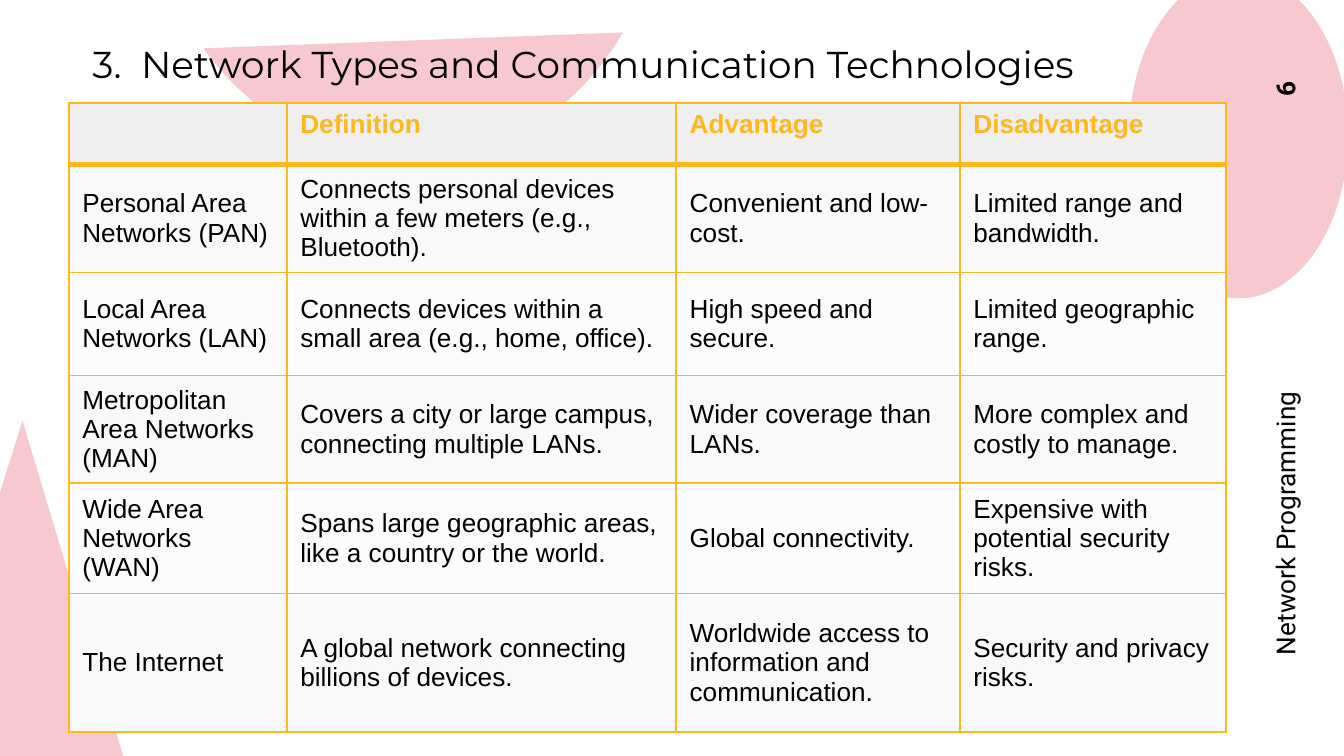
from lxml.etree import SubElement
from pptx import Presentation
from pptx.dml.color import RGBColor as RGB
from pptx.enum.shapes import MSO_SHAPE as SHAPE
from pptx.enum.text import MSO_ANCHOR as ANCHOR, PP_ALIGN as ALIGN
from pptx.oxml.ns import qn
from pptx.util import Pt

HUES = {"pink": "F7C9CF", "gold": "FFB71E", "black": "000000",
        "head": "EFEFEF", "odd": "F9F9F9", "even": "FCFCFC"}


def write(frame, text, font="Arial", size=14, hue="black", bold=False,
          align=ALIGN.LEFT):
    para = frame.paragraphs[0]
    para.alignment = align
    run = para.add_run()
    run.text = text
    run.font.name = font
    run.font.size = Pt(size)
    run.font.bold = bold
    run.font.color.rgb = RGB.from_string(HUES[hue])


def edge(cell, side, width):
    line = SubElement(cell._tc.get_or_add_tcPr(), qn(f"a:ln{side}"), w=str(Pt(width)))
    fill = SubElement(line, qn("a:solidFill"))
    SubElement(fill, qn("a:srgbClr"), val=HUES["gold"])


deck = Presentation()
deck.slide_width, deck.slide_height = Pt(720), Pt(405)
slide = deck.slides.add_slide(deck.slide_layouts[6])

for kind, box, turn, bends in [
    (SHAPE.OVAL, (604.8, -14.4, 117.4, 174.2), 0, []),
    (SHAPE.CHORD, (75.6, -234, 280.1, 320.4), 352.7, [27, 86.56]),
    (SHAPE.ISOSCELES_TRIANGLE, (-49.7, 225.4, 121, 197.3), 0, [0.51]),
]:
    shape = slide.shapes.add_shape(kind, *map(Pt, box))
    shape.rotation = turn
    for i, bend in enumerate(bends):
        shape.adjustments[i] = bend
    shape.shadow.inherit = False
    shape.fill.solid()
    shape.fill.fore_color.rgb = RGB.from_string(HUES["pink"])
    shape.line.fill.background()

for text, box, turn, left, anchor, look in [
    ("3.  Network Types and Communication Technologies", (42.5, 15.1, 614.2, 51.1),
     0, 7.2, ANCHOR.TOP, {"font": "Montserrat", "size": 20}),
    ("Network Programming", (585.4, 249.1, 205.9, 33.8),
     270, 18, ANCHOR.MIDDLE, {"font": "Roboto"}),
    ("6", (666.7, 42.5, 43.2, 31),
     270, 7.2, ANCHOR.MIDDLE, {"font": "Roboto", "bold": True, "align": ALIGN.RIGHT}),
]:
    label = slide.shapes.add_textbox(*map(Pt, box))
    label.rotation = turn
    frame = label.text_frame
    frame.word_wrap = True
    frame.vertical_anchor = anchor
    frame.margin_left = Pt(left)
    frame.margin_top = frame.margin_right = frame.margin_bottom = Pt(7.2)
    write(frame, text, **look)

rows = [
    ("", "Definition", "Advantage", "Disadvantage"),
    ("Personal Area Networks (PAN)",
     "Connects personal devices within a few meters (e.g., Bluetooth).",
     "Convenient and low-cost.", "Limited range and bandwidth."),
    ("Local Area Networks (LAN)",
     "Connects devices within a small area (e.g., home, office).",
     "High speed and secure.", "Limited geographic range."),
    ("Metropolitan Area Networks (MAN)",
     "Covers a city or large campus, connecting multiple LANs.",
     "Wider coverage than LANs.", "More complex and costly to manage."),
    ("Wide Area Networks (WAN)",
     "Spans large geographic areas, like a country or the world.",
     "Global connectivity.", "Expensive with potential security risks."),
    ("The Internet", "A global network connecting billions of devices.",
     "Worldwide access to information and communication.",
     "Security and privacy risks."),
]
wide = [116.8, 208.6, 152, 142.6]
high = [32.8, 57.8, 55.3, 56, 59.2, 74.2]
grid = slide.shapes.add_table(len(rows), len(wide), Pt(36.9), Pt(55.3),
                              Pt(sum(wide)), Pt(sum(high))).table
grid.horz_banding = False
for col, width in zip(grid.columns, wide):
    col.width = Pt(width)
for r, (row, height) in enumerate(zip(rows, high)):
    grid.rows[r].height = Pt(height)
    shade = "head" if r == 0 else "odd" if r % 2 else "even"
    for c, text in enumerate(row):
        cell = grid.cell(r, c)
        for side in "LRTB":
            thick = (r, side) in [(0, "B"), (1, "T")]
            edge(cell, side, 3 if thick else 1)
        cell.fill.solid()
        cell.fill.fore_color.rgb = RGB.from_string(HUES[shade])
        cell.vertical_anchor = ANCHOR.MIDDLE if r else ANCHOR.TOP
        if text:
            write(cell.text_frame, text, hue="black" if r else "gold", bold=r == 0)

deck.save("out.pptx")
